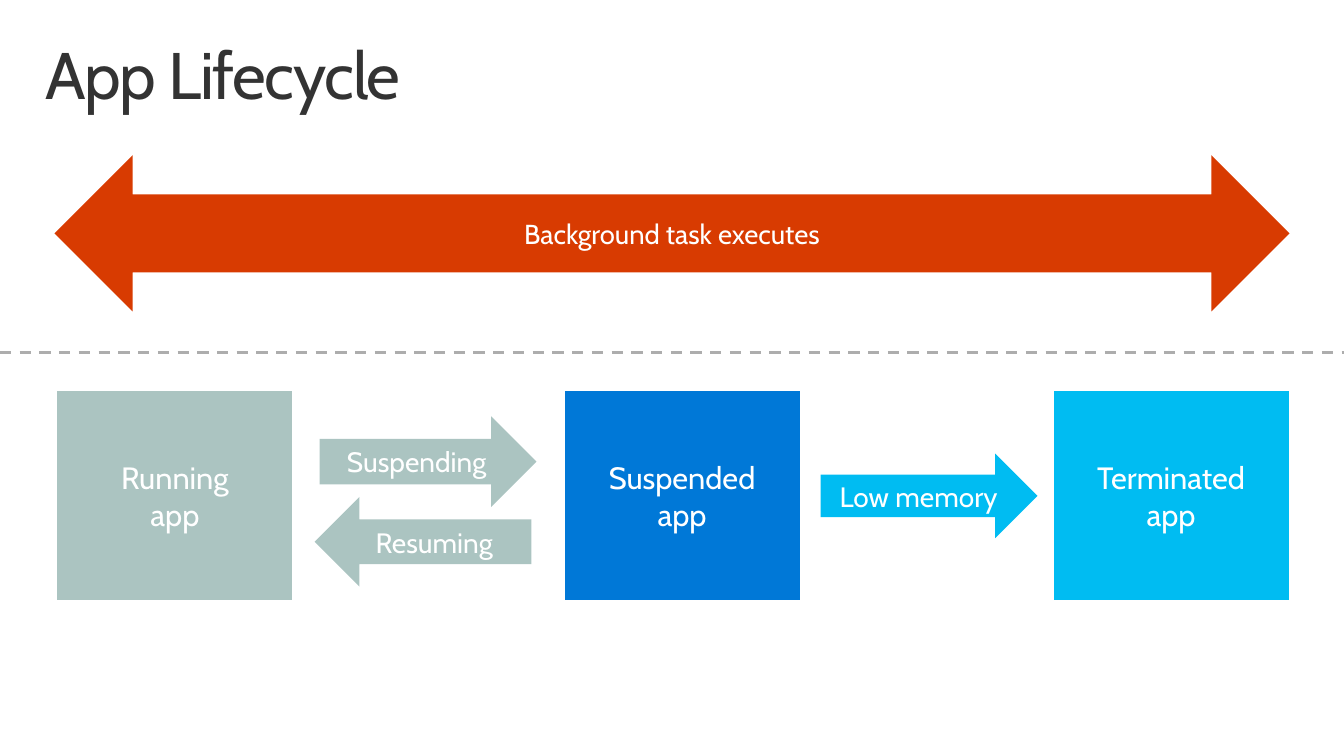
"""Builds the App Lifecycle slide: app states, transitions and the background task."""
from lxml import etree
from pptx import Presentation
from pptx.dml.color import RGBColor
from pptx.enum.dml import MSO_LINE
from pptx.enum.shapes import MSO_CONNECTOR, MSO_SHAPE
from pptx.enum.text import MSO_ANCHOR, PP_ALIGN
from pptx.oxml.ns import qn
from pptx.util import Inches, Pt

BOX = MSO_SHAPE.FLOWCHART_PROCESS
RIGHT = MSO_SHAPE.RIGHT_ARROW
LEFT = MSO_SHAPE.LEFT_ARROW
BOTH = MSO_SHAPE.LEFT_RIGHT_ARROW
STRAIGHT = MSO_CONNECTOR.STRAIGHT
DASH = MSO_LINE.DASH
TOP, MIDDLE = MSO_ANCHOR.TOP, MSO_ANCHOR.MIDDLE
ALIGN_LEFT, CENTER = PP_ALIGN.LEFT, PP_ALIGN.CENTER

FONT = "Cabin"
WHITE, DARK, GRAY = "FFFFFF", "333333", "ADADAD"
SAGE, BLUE, CYAN, ORANGE = "ABC4C1", "0078D7", "00BCF2", "D83B01"
SLIDE_WIDTH, SLIDE_HEIGHT = 13.33, 7.5

TITLE = "App Lifecycle"
BACKGROUND_TASK = "Background task executes"
STATES = [
    (["Running", "app"], 0.57, SAGE),
    (["Suspended", "app"], 5.6, BLUE),
    (["Terminated", "app"], 10.45, CYAN),
]
TRANSITIONS = [
    ("Suspending", RIGHT, 3.17, 4.13, 0.9, SAGE),
    ("Low memory", RIGHT, 8.14, 4.5, 0.84, CYAN),
    ("Resuming", LEFT, 3.12, 4.93, 0.89, SAGE),
]
STATE_TOP, STATE_WIDTH, STATE_HEIGHT = 3.88, 2.33, 2.07
TRANSITION_WIDTH = 2.15
DIVIDER_Y = 3.5


def rgb(color):
    return RGBColor.from_string(color)


def write(frame, lines, size=20, color=WHITE, align=CENTER, anchor=MIDDLE,
          inset_x=0.1, inset_y=0.05, line_spacing=None, tracking=None):
    frame.word_wrap = True
    frame.vertical_anchor = anchor
    frame.margin_left = frame.margin_right = Inches(inset_x)
    frame.margin_top = frame.margin_bottom = Inches(inset_y)
    for index, line in enumerate(lines):
        paragraph = frame.add_paragraph() if index else frame.paragraphs[0]
        paragraph.alignment = align
        paragraph.line_spacing = line_spacing
        run = paragraph.add_run()
        run.text = line
        run.font.name = FONT
        run.font.size = Pt(size)
        run.font.color.rgb = rgb(color)
        if tracking is not None:
            run.font._element.set("spc", str(tracking * 100))


def add_block(slide, kind, bounds, fill, lines, **text_format):
    block = slide.shapes.add_shape(kind, *map(Inches, bounds))
    block.shadow.inherit = False
    block.fill.solid()
    block.fill.fore_color.rgb = rgb(fill)
    block.line.fill.background()
    write(block.text_frame, lines, **text_format)


def add_divider(slide):
    divider = slide.shapes.add_connector(
        STRAIGHT, 0, Inches(DIVIDER_Y), Inches(SLIDE_WIDTH), Inches(DIVIDER_Y))
    divider.line.color.rgb = rgb(GRAY)
    divider.line.width = Pt(2)
    divider.line.dash_style = DASH
    etree.SubElement(divider._element.spPr, qn("a:effectLst"))


def main():
    deck = Presentation()
    deck.slide_width, deck.slide_height = Inches(SLIDE_WIDTH), Inches(SLIDE_HEIGHT)
    slide = deck.slides.add_slide(deck.slide_layouts[6])

    title = slide.shapes.add_textbox(*map(Inches, (0.29, 0.32, 12.75, 0.98)))
    write(title.text_frame, [TITLE], size=47, color=DARK, align=ALIGN_LEFT,
          anchor=TOP, inset_x=0.16, inset_y=0.1, line_spacing=0.9, tracking=-1)

    for lines, left, fill in STATES:
        bounds = (left, STATE_TOP, STATE_WIDTH, STATE_HEIGHT)
        add_block(slide, BOX, bounds, fill, lines, size=22)
    for label, arrow, left, top, height, fill in TRANSITIONS:
        bounds = (left, top, TRANSITION_WIDTH, height)
        add_block(slide, arrow, bounds, fill, [label])

    add_divider(slide)
    add_block(slide, BOTH, (0.54, 1.54, 12.25, 1.55), ORANGE,
              [BACKGROUND_TASK], size=19.6, inset_x=0)
    deck.save("out.pptx")


if __name__ == "__main__":
    main()
